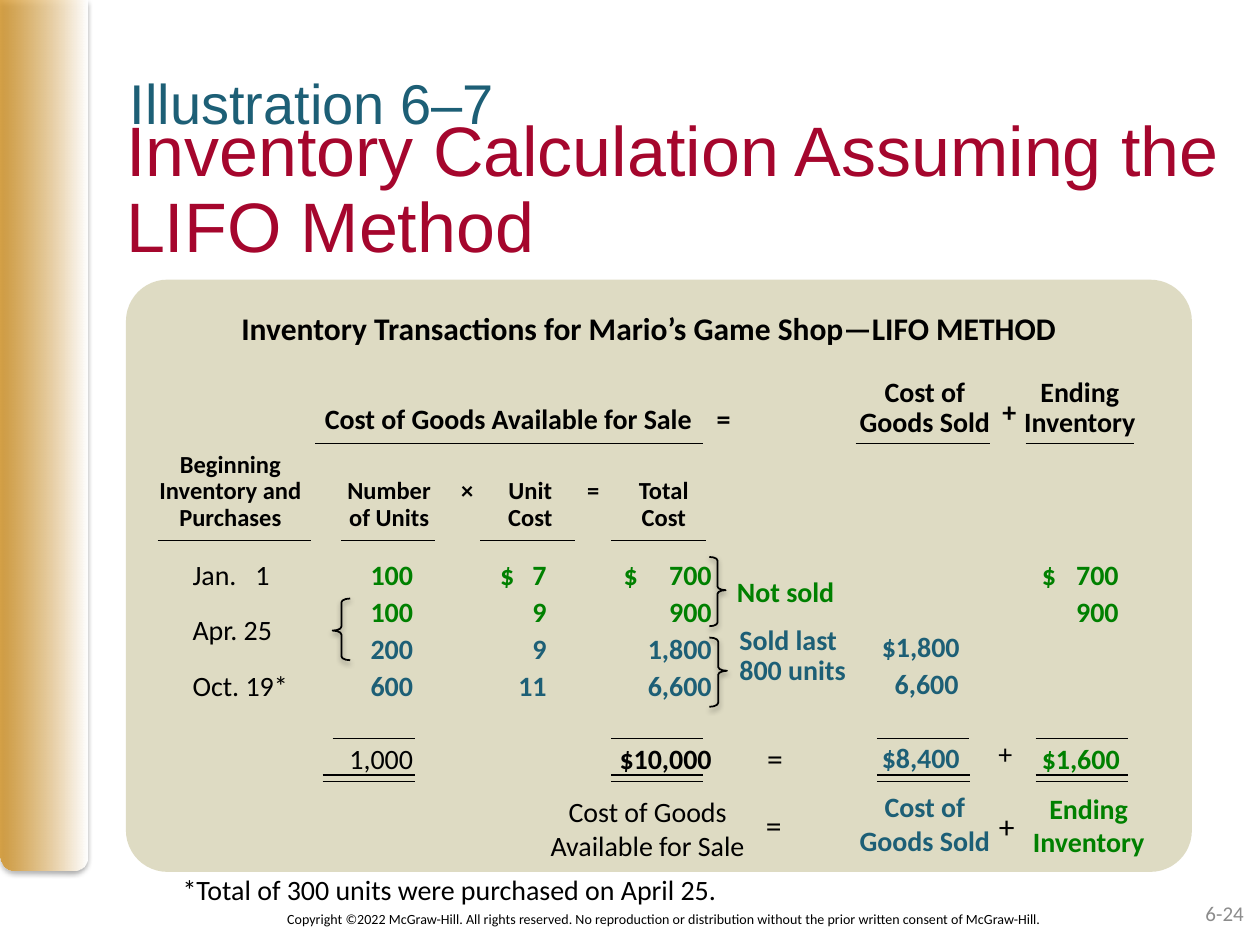
from lxml import etree
from pptx import Presentation
from pptx.dml.color import RGBColor
from pptx.enum.shapes import MSO_CONNECTOR, MSO_SHAPE
from pptx.enum.text import MSO_ANCHOR, MSO_AUTO_SIZE, PP_ALIGN
from pptx.oxml.ns import qn
from pptx.util import Inches, Pt

LEFT, MID, RIGHT = PP_ALIGN.LEFT, PP_ALIGN.CENTER, PP_ALIGN.RIGHT
CORE = MSO_ANCHOR.MIDDLE
LINE = MSO_CONNECTOR.STRAIGHT
BAND, PANEL, BRACE = (MSO_SHAPE.ROUND_2_SAME_RECTANGLE,
                      MSO_SHAPE.ROUNDED_RECTANGLE, MSO_SHAPE.RIGHT_BRACE)
FIT, FIXED = MSO_AUTO_SIZE.SHAPE_TO_FIT_TEXT, MSO_AUTO_SIZE.NONE

INK, TEAL, GREEN, RED, GRAY = "000000", "1D5F76", "008000", "A5062D", "8C8C8C"
GOLD, SAND, WHITE = "D49323", "D4D0B0", "FFFFFF"
ROW = 21

TITLE = "Inventory Calculation Assuming the LIFO Method"
COLS = [(1.75, "r"), (2.81, "r"), (4.12, "r")]
CASH = [(0.61, "r"), (1.75, "r"), (2.44, "l"), (2.81, "r"), (3.42, "l"), (4.12, "r")]
HEADS = [(n, "ctr") for n in (0.62, 1.88, 2.5, 3, 3.5, 4.06)]
SUMS = [(0.61, "r")]

LEDGER = [
    (0, CASH, [("Jan.\t1\t", INK, False), ("100\t$\t7\t$\t700", GREEN, True)]),
    (0, COLS, [("\t100\t9\t900", GREEN, True)]),
    (0, COLS, [("\t200\t9\t1,800", TEAL, True)]),
    (0, COLS, [("Oct. 19*", INK, False), ("\t600\t11\t6,600", TEAL, True)]),
    (1, COLS, [("\t1,000\t\t", INK, False), ("$10,000", INK, True)]),
]
LABELS = [(0, HEADS, [(text, INK, True)]) for text in (
    "\tBeginning",
    "\tInventory and\tNumber\t×\tUnit\t=\tTotal",
    "\tPurchases\tof Units\t\tCost\t\tCost")]
SOLD = [(gap, SUMS, [(text, TEAL, True)]) for gap, text in (
    (0, "$1,800"), (0, "\t6,600"), (1, "$8,400"))]
LEFTOVER = [(gap, SUMS, [(text, GREEN, True)]) for gap, text in (
    (0, "$\t700"), (0, "\t900"), (3, "$1,600"))]

BLOCKS = [
    ((1.43, 4.35, 8.02, 1.88), 1.1, LEDGER, 16),
    ((1.11, 3.54, 5.95, 0.74), 0.9, LABELS, 14),
    ((6.9, 4.92, 0.94, 1.29), 1.1, SOLD, 16),
    ((8.17, 4.35, 0.94, 1.88), 1.1, LEFTOVER, 16),
    ((2.48, 3.14, 3.72, 0.37), 1,
     [(0, [(3.11, "l")], [("Cost of Goods Available for Sale\t=", INK, True)])], 16),
]
NOTES = [
    ("Sold last 800 units", (5.77, 4.92, 1.07, 0.59), 16, TEAL, True, LEFT, 0.9),
    ("Not sold", (5.75, 4.51, 1.02, 0.37), 16, GREEN, True, LEFT, 1),
    ("Inventory Transactions for Mario’s Game Shop—LIFO METHOD",
     (1.25, 2.4, 7.8, 0.4), 18, INK, True, MID, 1),
    ("Cost of Goods Sold", (6.67, 2.95, 1.34, 0.59), 16, INK, True, MID, 0.9),
    ("Ending Inventory", (7.9, 2.95, 1.34, 0.59), 16, INK, True, MID, 0.9),
    ("+", (7.79, 3.08, 0.44, 0.37), 16, INK, True, MID, 1),
    ("+", (7.76, 5.8, 0.44, 0.37), 16, INK, False, MID, 1),
    ("=", (5.99, 5.82, 0.42, 0.4), 18, INK, False, LEFT, 1),
    ("Apr. 25", (1.43, 4.81, 0.89, 0.37), 16, INK, False, LEFT, 1),
    ("Cost of Goods Available for Sale", (4.24, 6.26, 1.8, 0.64), 16, INK, False, MID, 1),
    ("Cost of Goods Sold", (6.69, 6.22, 1.3, 0.64), 16, TEAL, True, MID, 1),
    ("Ending Inventory", (7.89, 6.23, 1.5, 0.64), 16, GREEN, True, MID, 1),
    ("=", (5.98, 6.35, 0.42, 0.4), 18, INK, False, LEFT, 1),
    ("+", (7.83, 6.36, 0.38, 0.4), 18, INK, False, LEFT, 1),
    ("*Total of 300 units were purchased on April 25.",
     (1.35, 6.88, 5.02, 0.37), 16, INK, False, LEFT, 1),
    ("Copyright ©2022 McGraw-Hill. All rights reserved. No reproduction or "
     "distribution without the prior written consent of McGraw-Hill.",
     (1.46, 7.18, 7.63, 0.24), 8, INK, False, MID, 1),
    ("6-24", (7.64, 7.1, 2.33, 0.37), 12, GRAY, False, RIGHT, 1),
]
RULES = [
    ((3.52,), [(2.5, 5.58), (6.79, 7.86), (8.14, 9)]),
    ((4.29,), [(1.25, 2.47), (2.71, 3.45), (3.81, 4.56), (4.85, 5.6)]),
    ((5.86,), [(2.64, 3.29), (4.85, 5.58), (6.96, 7.69), (8.22, 8.95)]),
    ((6.15, 6.2), [(2.56, 3.29), (4.85, 5.58), (6.96, 7.7), (8.22, 8.95)]),
]
BRACES = [((5.63, 4.42, 0.13, 0.55), False), ((2.64, 4.75, 0.14, 0.49), True),
          ((5.63, 5.06, 0.14, 0.55), False)]


def tint(text):
    return RGBColor.from_string(text)


def place(item, spot):
    item.left, item.top, item.width, item.height = map(Inches, spot)


def fade(stop, share):
    etree.SubElement(stop, qn("a:alpha"), val=str(share * 1000))


def shade(shape, share):
    shape.shadow.inherit = False
    fx = shape._element.spPr.find(qn("a:effectLst"))
    drop = etree.SubElement(fx, qn("a:outerShdw"), blurRad=str(Pt(3.1)),
                            dist=str(Pt(1.7)), dir="5400000", rotWithShape="0")
    fade(etree.SubElement(drop, qn("a:srgbClr"), val=INK), share)


def flip(shape, *sides):
    for side in sides:
        shape._element.spPr.find(qn("a:xfrm")).set(side, "1")


def shape_at(kind, spot):
    shape = slide.shapes.add_shape(kind, *map(Inches, spot))
    shape.shadow.inherit = False
    shape.line.fill.background()
    return shape


def write(para, runs, size, face="Calibri", align=LEFT, pitch=1, gap=0, tabs=()):
    para.alignment = align
    para.line_spacing = pitch
    para.space_before = Pt(gap)
    if tabs:
        stops = etree.SubElement(para._p.get_or_add_pPr(), qn("a:tabLst"))
        for pos, side in tabs:
            etree.SubElement(stops, qn("a:tab"), pos=str(Inches(pos)), algn=side)
    for text, hue, bold in runs:
        run = para.add_run()
        run.text = text
        font = run.font
        font.name, font.size, font.bold = face, Pt(size), bold
        font.color.rgb = tint(hue)


def bare(frame):
    frame.margin_left = frame.margin_right = 0
    frame.margin_top = frame.margin_bottom = 0
    frame.auto_size = FIXED


def box(spot):
    frame = slide.shapes.add_textbox(*map(Inches, spot)).text_frame
    frame.word_wrap = True
    frame.auto_size = FIT
    return frame


deck = Presentation()
deck.slide_width, deck.slide_height = Inches(10), Inches(7.5)
slide = deck.slides.add_slide(deck.slide_layouts[5])

title = slide.shapes.title
place(title, (1, 0.9, 9, 1.25))
frame = title.text_frame
bare(frame)
frame.word_wrap = True
frame.vertical_anchor = CORE
write(frame.paragraphs[0], [(TITLE, RED, False)], 40, "Arial", pitch=0.9)

frame = box((1.03, 0.54, 5.76, 0.46))
bare(frame)
write(frame.paragraphs[0], [("Illustration 6–7", TEAL, False)], 32, "Arial")

band = shape_at(BAND, (0, 0, 0.69, 6.91))
band.fill.gradient()
band.fill.gradient_angle = 0
for stop, hue, pos in zip(band.fill.gradient_stops, (GOLD, WHITE), (0, 1)):
    stop.color.rgb = tint(hue)
    stop.position = pos
fade(next(band._element.spPr.iter(qn("a:srgbClr"))), 80)
flip(band, "flipV")
shade(band, 35)

panel = shape_at(PANEL, (1, 2.22, 8.46, 4.7))
panel.adjustments[0] = 0.07
panel.fill.solid()
panel.fill.fore_color.rgb = tint(SAND)
fade(next(panel._element.spPr.iter(qn("a:srgbClr"))), 75)

for levels, spans in RULES:
    for y in levels:
        for start, end in spans:
            rule = slide.shapes.add_connector(LINE, *map(Inches, (start, y, end, y)))
            rule.line.color.rgb = tint(INK)
            rule.line.width = Pt(0.75)
            etree.SubElement(rule._element.spPr, qn("a:effectLst"))

for spot, back in BRACES:
    brace = shape_at(BRACE, spot)
    brace.adjustments[0], brace.adjustments[1] = 0.22, 0.48
    brace.fill.background()
    brace.line.color.rgb = tint(INK)
    brace.line.width = Pt(1)
    shade(brace, 38)
    if back:
        flip(brace, "flipH", "flipV")

for spot, pitch, rows, size in BLOCKS:
    frame = box(spot)
    for i, (gap, tabs, runs) in enumerate(rows):
        para = frame.add_paragraph() if i else frame.paragraphs[0]
        write(para, runs, size, pitch=pitch, gap=gap * ROW, tabs=tabs)

for text, spot, size, hue, bold, align, pitch in NOTES:
    write(box(spot).paragraphs[0], [(text, hue, bold)], size, align=align, pitch=pitch)

deck.save("out.pptx")
